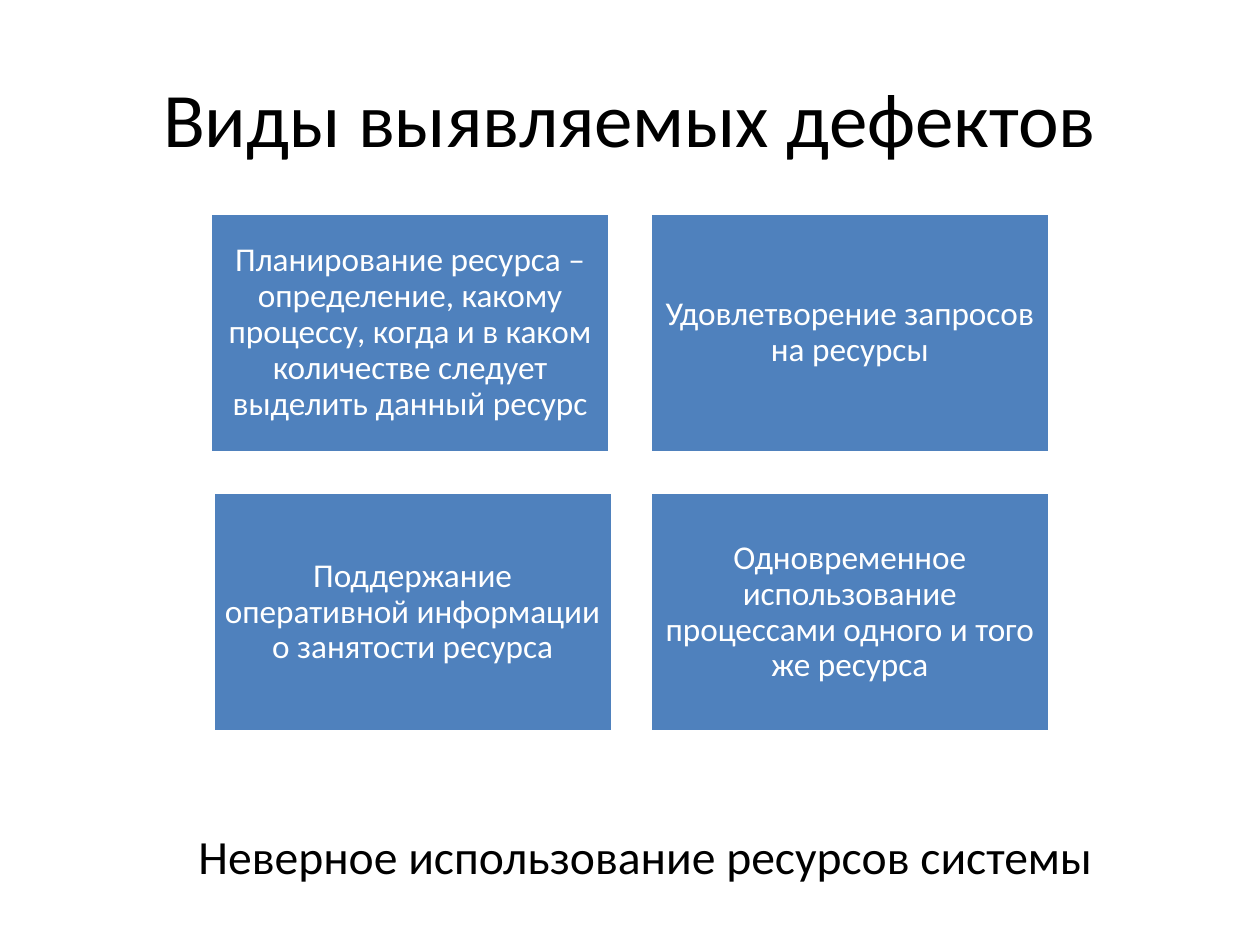
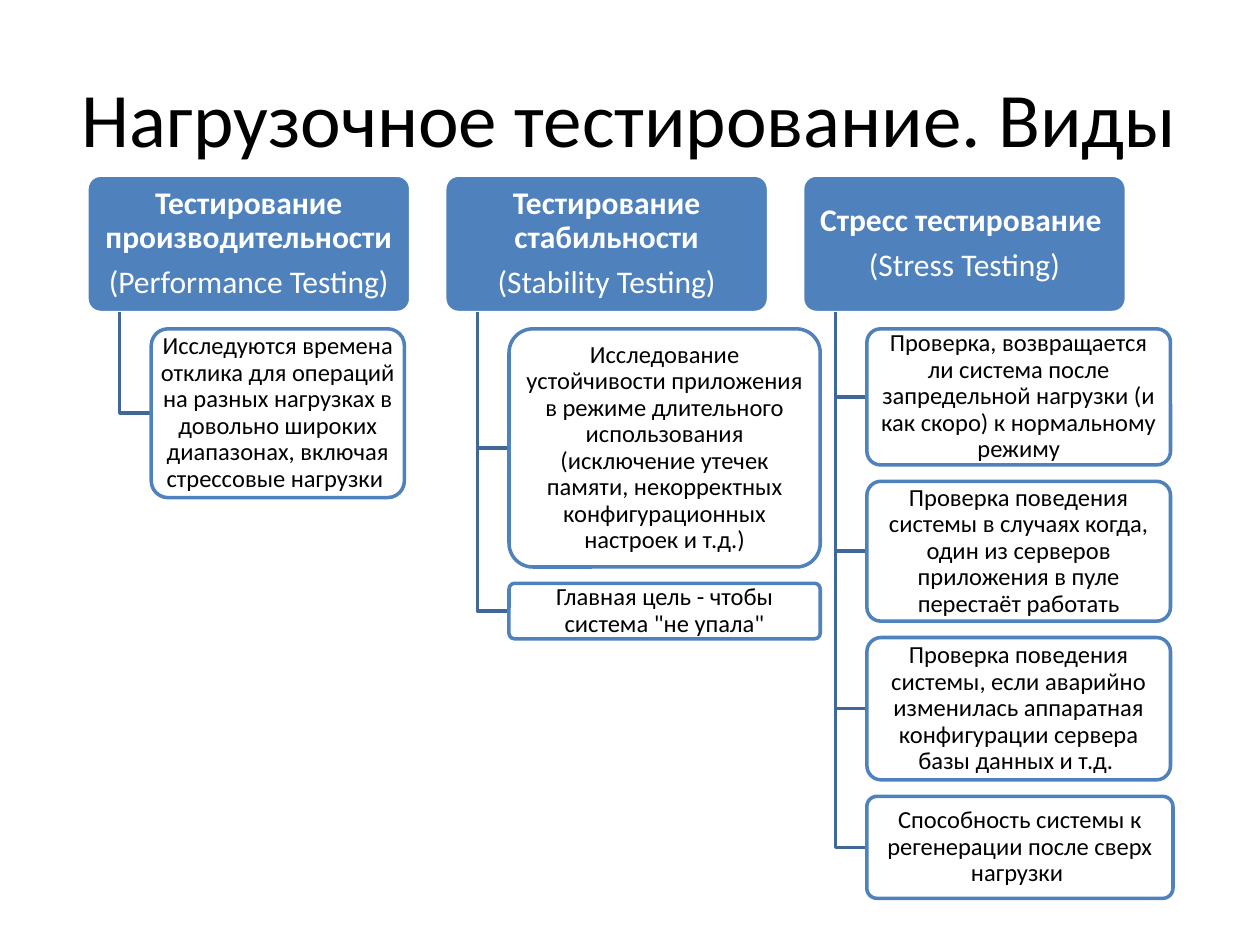
from lxml import etree
from pptx import Presentation
from pptx.dml.color import RGBColor
from pptx.enum.shapes import MSO_SHAPE
from pptx.enum.text import MSO_ANCHOR, PP_ALIGN
from pptx.oxml.ns import qn
from pptx.util import Inches, Pt

RECTANGLE = MSO_SHAPE.RECTANGLE
ROUNDED = MSO_SHAPE.ROUNDED_RECTANGLE
MIDDLE, TOP = MSO_ANCHOR.MIDDLE, MSO_ANCHOR.TOP
CENTER = PP_ALIGN.CENTER

FONT = "Calibri"
BLUE, DARK_BLUE, WHITE, BLACK = "4F81BD", "3F6797", "FFFFFF", "000000"
LINE_WIDTH = 2

DEFECTS_TITLE = "Виды выявляемых дефектов"
DEFECTS_CAPTION = "Неверное использование ресурсов системы"
DEFECTS = [
    (0, 0, 0, "Планирование ресурса – определение, какому процессу, когда и в каком "
              "количестве следует выделить данный ресурс"),
    (0, 1, 0, "Удовлетворение запросов на ресурсы"),
    (1, 0, 0.02, "Поддержание оперативной информации о занятости ресурса"),
    (1, 1, 0, "Одновременное использование процессами одного и того же ресурса"),
]

TESTING_TITLE = "Нагрузочное тестирование. Виды"
TESTING = [
    ("Тестирование производительности", "(Performance Testing)", [
        (2.01, 1.34, "Исследуются времена отклика для операций на разных нагрузках в "
                     "довольно широких диапазонах, включая стрессовые нагрузки "),
    ]),
    ("Тестирование стабильности", "(Stability Testing)", [
        (2.47, 1.89, "Исследование устойчивости приложения в режиме длительного "
                     "использования (исключение утечек памяти, некорректных "
                     "конфигурационных настроек и т.д.)"),
        (2.47, 0.44, "Главная цель - чтобы система \"не упала\""),
    ]),
    ("Стресс тестирование ", "(Stress Testing)", [
        (2.41, 1.08, "Проверка, возвращается ли система после запредельной нагрузки "
                     "(и как скоро) к нормальному режиму"),
        (2.41, 1.11, "Проверка поведения системы в случаях когда, один из серверов "
                     "приложения в пуле перестаёт работать"),
        (2.41, 1.13, "Проверка поведения системы, если аварийно изменилась аппаратная "
                     "конфигурации сервера базы данных и т.д. "),
        (2.43, 0.81, "Способность системы к регенерации после сверх нагрузки "),
    ]),
]


def color(value):
    return RGBColor.from_string(value)


def write(box, lines, size, ink, insets=(0.1, 0.05), anchor=MIDDLE, spacing=None):
    frame = box.text_frame
    frame.word_wrap = True
    frame.vertical_anchor = anchor
    frame.margin_left = frame.margin_right = Inches(insets[0])
    frame.margin_top = frame.margin_bottom = Inches(insets[1])
    for index, (text, bold) in enumerate(lines):
        para = frame.add_paragraph() if index else frame.paragraphs[0]
        para.alignment = CENTER
        if spacing:
            para.line_spacing = spacing
        if index:
            para.space_before = Pt(size * 0.35)
        span = para.add_run()
        span.text = text
        span.font.name = FONT
        span.font.size = Pt(size)
        span.font.bold = bold
        span.font.color.rgb = color(ink)


def add_text(page, place, text, size, anchor=MIDDLE):
    box = page.shapes.add_textbox(*map(Inches, place))
    write(box, [(text, False)], size, BLACK, anchor=anchor)


def add_box(page, kind, place, fill, line):
    box = page.shapes.add_shape(kind, *map(Inches, place))
    box.shadow.inherit = False
    box.fill.solid()
    box.fill.fore_color.rgb = color(fill)
    box.line.color.rgb = color(line)
    box.line.width = Pt(LINE_WIDTH)
    if kind == ROUNDED:
        box.adjustments[0] = 0.1
    return box


def set_opacity(box, percent):
    fill = box.fill.fore_color._xFill.find(qn("a:srgbClr"))
    etree.SubElement(fill, qn("a:alpha")).set("val", str(percent * 1000))


def add_elbow(page, left, top, right, bottom):
    builder = page.shapes.build_freeform(Inches(left), Inches(top))
    builder.add_line_segments(
        [(Inches(left), Inches(bottom)), (Inches(right), Inches(bottom))], close=False)
    elbow = builder.convert_to_shape()
    elbow.shadow.inherit = False
    elbow.fill.background()
    elbow.line.color.rgb = color(DARK_BLUE)
    elbow.line.width = Pt(LINE_WIDTH)


def add_page(deck, title):
    page = deck.slides.add_slide(deck.slide_layouts[6])
    add_text(page, (0.5, 0.3, 9, 1.25), title, 44)
    return page


def build_defects(deck):
    page = add_page(deck, DEFECTS_TITLE)
    add_text(page, (0.75, 6.51, 8.75, 0.5), DEFECTS_CAPTION, 27.2, TOP)
    for row, column, shift, text in DEFECTS:
        place = (1.67 + 3.49 * column + shift, 1.69 + 2.22 * row, 3.17, 1.9)
        box = add_box(page, RECTANGLE, place, BLUE, WHITE)
        write(box, [(text, False)], 19, WHITE, (0.08, 0.08), spacing=0.9)


def build_testing(deck):
    page = add_page(deck, TESTING_TITLE)
    header_top, header_height, gap = 1.39, 1.09, 0.13
    header_bottom = header_top + header_height
    for column, (name, english, details) in enumerate(TESTING):
        left = 0.69 + 2.84 * column
        header = add_box(page, ROUNDED, (left, header_top, 2.57, header_height), BLUE, WHITE)
        write(header, [(name, True), (english, False)], 18, WHITE, (0.04, 0.03), spacing=0.9)
        spine, detail_left = left + 0.26, left + 0.51
        top = header_bottom + gap
        for width, height, text in details:
            add_elbow(page, spine, header_bottom, detail_left, top + height / 2)
            box = add_box(page, ROUNDED, (detail_left, top, width, height), WHITE, BLUE)
            set_opacity(box, 90)
            write(box, [(text, False)], 14, BLACK, (0.03, 0.02), spacing=0.9)
            top += height + gap


def main():
    deck = Presentation()
    deck.slide_width, deck.slide_height = Inches(10), Inches(7.5)
    build_defects(deck)
    build_testing(deck)
    deck.save("out.pptx")


if __name__ == "__main__":
    main()
